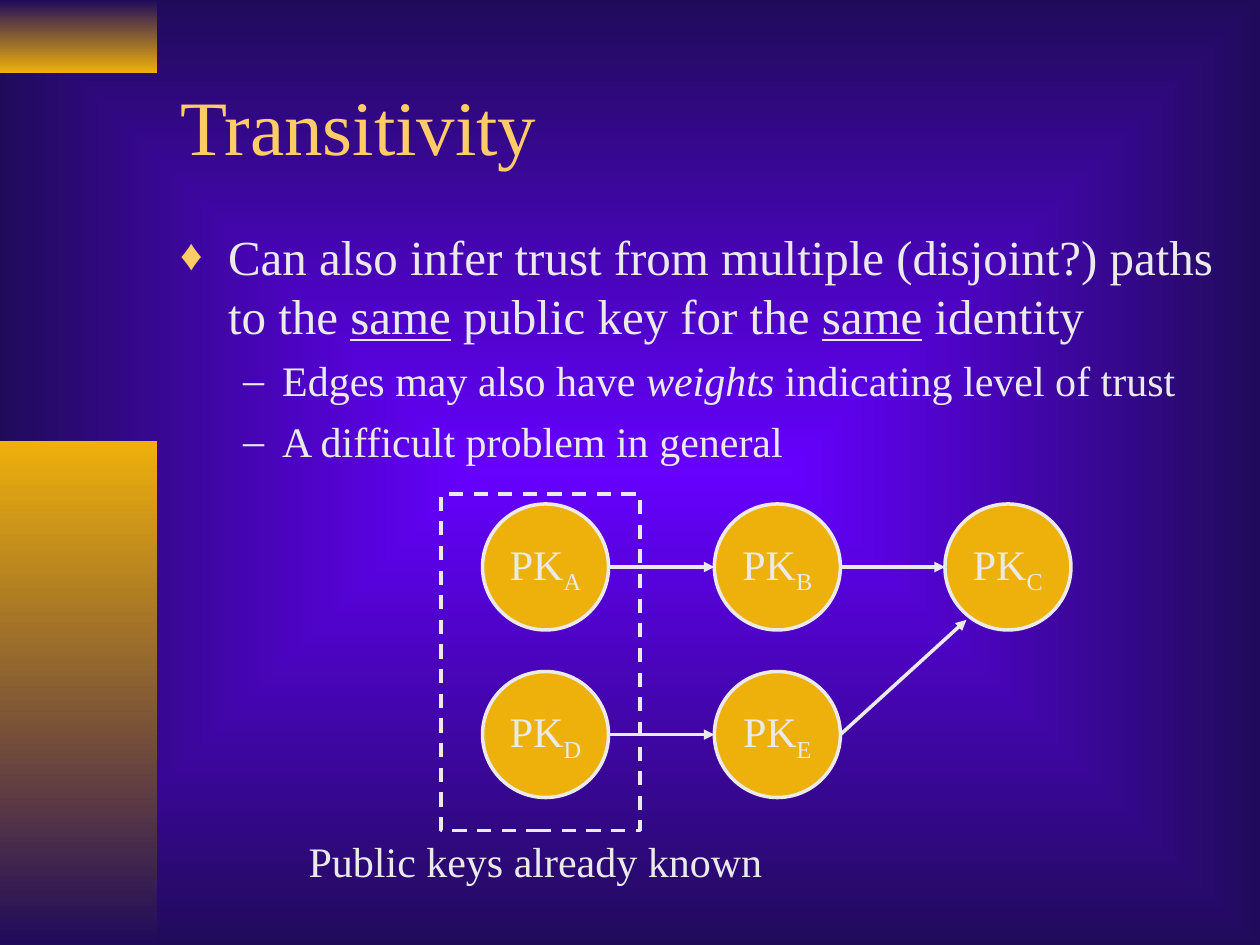
from lxml.etree import SubElement
from pptx import Presentation
from pptx.dml.color import RGBColor
from pptx.enum.dml import MSO_LINE
from pptx.enum.shapes import MSO_CONNECTOR, MSO_SHAPE
from pptx.enum.text import MSO_ANCHOR, MSO_AUTO_SIZE, PP_ALIGN
from pptx.oxml.ns import qn
from pptx.util import Inches, Pt

COLORS = {
    "glow": "6600FF",
    "night": "200B5B",
    "gold": "EEB00B",
    "title": "FFCC66",
    "text": "EAEAEA",
}
FONT = "Times New Roman"

KEY_SIZE = 1
COLUMNS = [3.83, 5.67, 7.5]
ROWS = [4, 5.33]
KEYS = {"A": (0, 0), "B": (1, 0), "C": (2, 0), "D": (0, 1), "E": (1, 1)}
LEVEL_ARROWS = ["AB", "BC", "DE"]

BULLETS = [
    dict(
        level=0, size=28, before=14, margin=0.38, hang=0.38,
        char="♦", char_color="title", char_percent=90,
        runs=[
            ("Can also infer trust from multiple (disjoint?) paths to the ", {}),
            ("same", {"underline": True}),
            (" public key for the ", {}),
            ("same", {"underline": True}),
            (" identity", {}),
        ],
    ),
]
BULLETS += [
    dict(
        level=1, size=24, before=6, margin=0.81, hang=0.31,
        char="–", char_color="text", char_percent=100, runs=runs,
    )
    for runs in (
        [
            ("Edges may also have ", {}),
            ("weights", {"italic": True}),
            (" indicating level of trust", {}),
        ],
        [("A difficult problem in general", {})],
    )
]


def rgb(name):
    return RGBColor.from_string(COLORS[name])


def place(item, left, top, width, height):
    box = dict(left=left, top=top, width=width, height=height)
    for side, length in box.items():
        setattr(item, side, Inches(length))


def add_run(paragraph, text, size, color="text", **formats):
    run = paragraph.add_run()
    run.text = text
    run.font.color.rgb = rgb(color)
    formats = {"name": FONT, "size": Pt(size), **formats}
    for attribute, value in formats.items():
        setattr(run.font, attribute, value)
    return run


def fill_gradient(fill, start, end):
    fill.gradient()
    for stop, color in zip(fill.gradient_stops, (start, end)):
        stop.color.rgb = rgb(color)


def set_background(slide):
    """Radiate a rectangular gradient from the centre of the slide."""
    fill_gradient(slide.background.fill, "glow", "night")
    gradient = next(slide.element.iter(qn("a:gradFill")))
    gradient.remove(gradient.find(qn("a:lin")))
    rectangle = SubElement(gradient, qn("a:path"), path="rect")
    sides = dict.fromkeys("ltrb", "50000")
    SubElement(rectangle, qn("a:fillToRect"), **sides)


def add_side_band(slide, top, height, start, end):
    band = slide.shapes.add_shape(
        MSO_SHAPE.RECTANGLE, 0, Inches(top), Inches(1.25), Inches(height)
    )
    band.shadow.inherit = False
    fill_gradient(band.fill, start, end)
    band.fill.gradient_angle = 270
    band.line.fill.background()


def write_title(title, text):
    place(title, 1.33, 0.33, 8.5, 1.32)
    frame = title.text_frame
    frame.auto_size = MSO_AUTO_SIZE.NONE
    frame.vertical_anchor = MSO_ANCHOR.MIDDLE
    frame.paragraphs[0].alignment = PP_ALIGN.LEFT
    add_run(frame.paragraphs[0], text, 44, "title")


def set_bullet(paragraph, bullet):
    properties = paragraph._p.get_or_add_pPr()
    properties.set("marL", str(Inches(bullet["margin"])))
    properties.set("indent", str(-Inches(bullet["hang"])))
    color = SubElement(properties, qn("a:buClr"))
    SubElement(color, qn("a:srgbClr"), val=COLORS[bullet["char_color"]])
    percent = str(bullet["char_percent"] * 1000)
    SubElement(properties, qn("a:buSzPct"), val=percent)
    SubElement(properties, qn("a:buFont"), typeface=FONT)
    SubElement(properties, qn("a:buChar"), char=bullet["char"])


def write_bullets(body, bullets):
    place(body, 1.33, 1.75, 8.5, 4.92)
    frame = body.text_frame
    frame.auto_size = MSO_AUTO_SIZE.NONE
    for index, bullet in enumerate(bullets):
        paragraph = frame.add_paragraph() if index else frame.paragraphs[0]
        paragraph.level = bullet["level"]
        paragraph.space_before = Pt(bullet["before"])
        set_bullet(paragraph, bullet)
        for text, formats in bullet["runs"]:
            add_run(paragraph, text, bullet["size"], **formats)


def add_outlined(slide, preset, left, top, width, height):
    outlined = slide.shapes.add_shape(
        preset, *map(Inches, (left, top, width, height))
    )
    outlined.shadow.inherit = False
    outlined.line.color.rgb = rgb("text")
    outlined.line.width = Pt(2)
    return outlined


def add_key(slide, letter):
    column, row = KEYS[letter]
    key = add_outlined(
        slide, MSO_SHAPE.OVAL, COLUMNS[column], ROWS[row], KEY_SIZE, KEY_SIZE
    )
    key.fill.solid()
    key.fill.fore_color.rgb = rgb("gold")
    frame = key.text_frame
    frame.word_wrap = False
    frame.vertical_anchor = MSO_ANCHOR.MIDDLE
    label = frame.paragraphs[0]
    label.alignment = PP_ALIGN.CENTER
    add_run(label, "PK", 24)
    subscript = add_run(label, letter, 24)
    subscript.font._element.set("baseline", "-25000")


def key_side(letter, offset):
    """Point at mid-height of a key, offset from its left edge."""
    column, row = KEYS[letter]
    return COLUMNS[column] + offset, ROWS[row] + KEY_SIZE / 2


def add_arrow(slide, start, end):
    arrow = slide.shapes.add_connector(
        MSO_CONNECTOR.STRAIGHT, *map(Inches, (*start, *end))
    )
    arrow.line.color.rgb = rgb("text")
    arrow.line.width = Pt(2)
    SubElement(arrow.line._get_or_add_ln(), qn("a:tailEnd"), type="triangle")
    SubElement(arrow._element.spPr, qn("a:effectLst"))


def add_known_keys_frame(slide):
    border = add_outlined(slide, MSO_SHAPE.RECTANGLE, 3.5, 3.92, 1.58, 2.67)
    border.fill.background()
    border.line.dash_style = MSO_LINE.DASH
    caption = slide.shapes.add_textbox(*map(Inches, (2.35, 6.58, 3.8, 0.5)))
    caption.text_frame.word_wrap = False
    paragraph = caption.text_frame.paragraphs[0]
    paragraph.alignment = PP_ALIGN.CENTER
    add_run(paragraph, "Public keys already known", 24)


def main():
    deck = Presentation()
    deck.slide_width, deck.slide_height = Inches(10), Inches(7.5)
    slide = deck.slides.add_slide(deck.slide_layouts[1])
    set_background(slide)
    add_side_band(slide, 0, 0.58, "night", "gold")
    add_side_band(slide, 3.5, 4, "gold", "night")
    write_title(slide.shapes.title, "Transitivity")
    write_bullets(slide.placeholders[1], BULLETS)
    for letter in KEYS:
        add_key(slide, letter)
    for source, target in LEVEL_ARROWS:
        add_arrow(slide, key_side(source, KEY_SIZE), key_side(target, 0))
    add_arrow(slide, key_side("E", KEY_SIZE), (7.67, 4.92))
    add_known_keys_frame(slide)
    deck.save("out.pptx")


if __name__ == "__main__":
    main()
